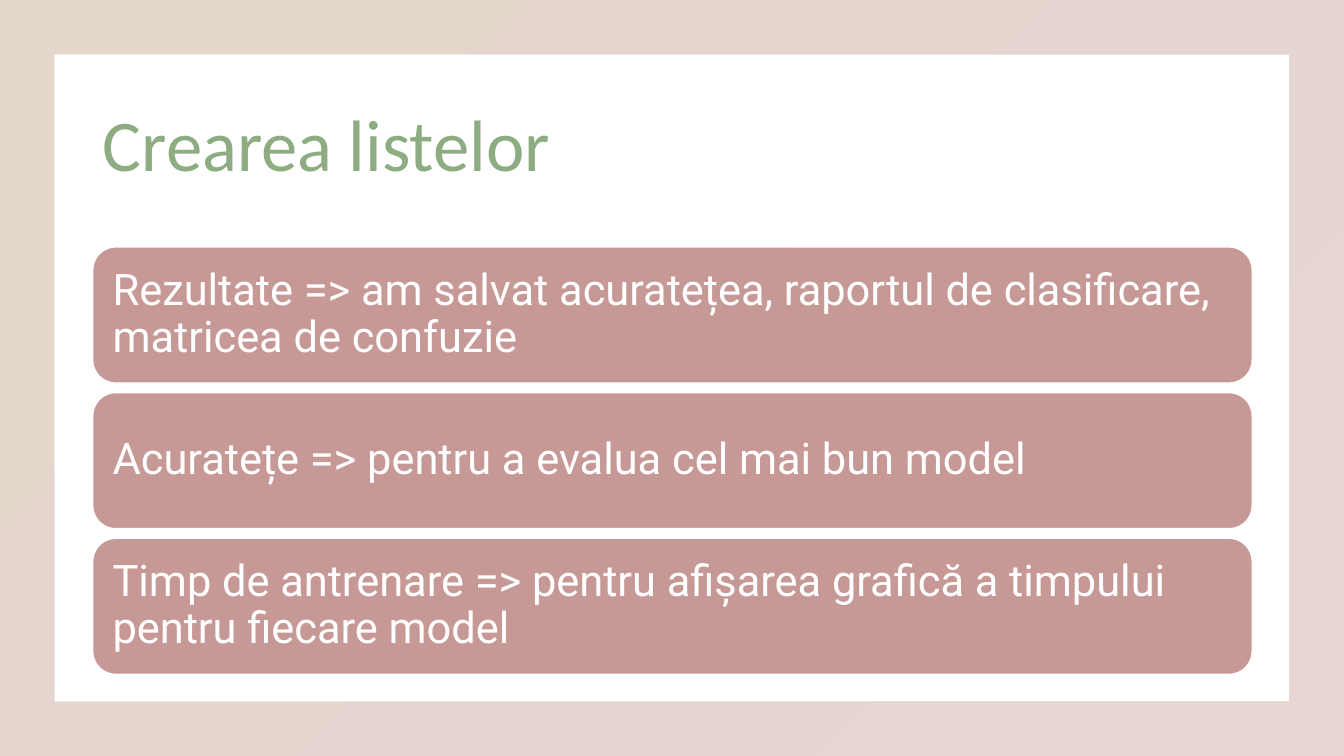
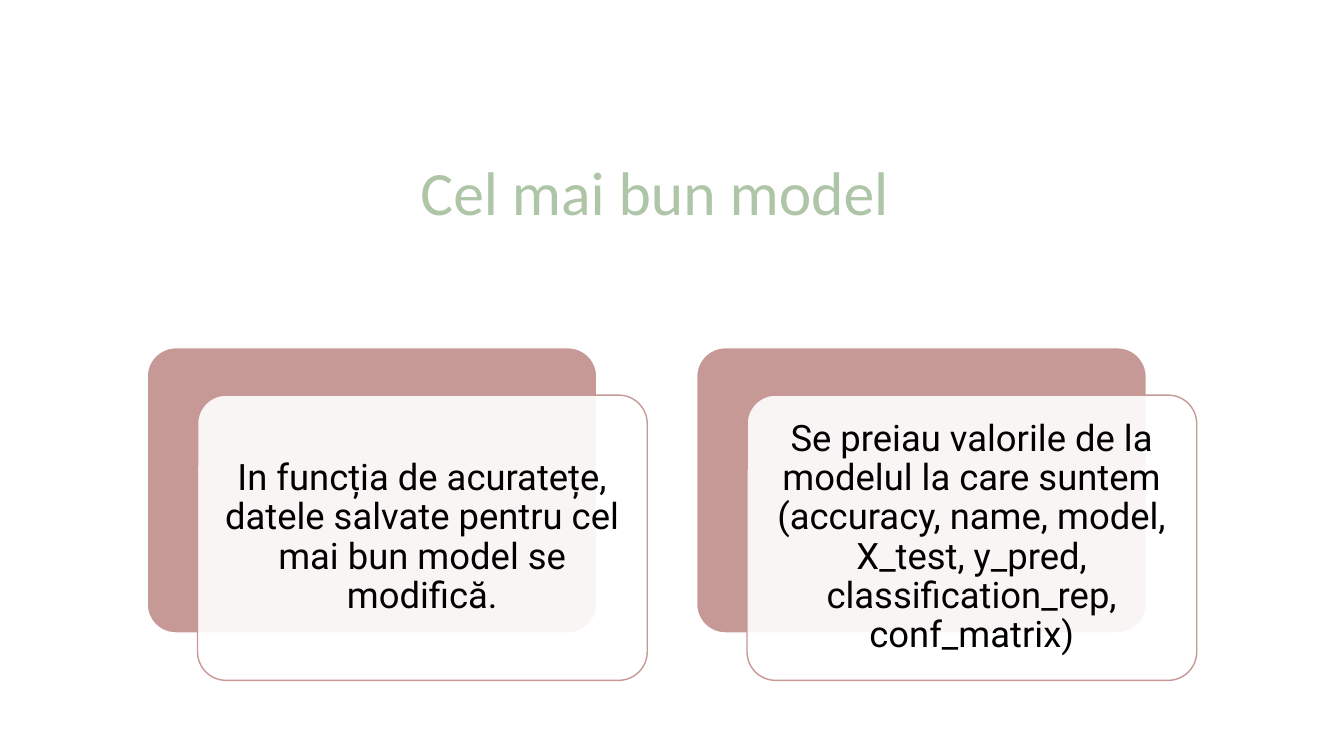
from dataclasses import dataclass

from lxml import etree
from pptx import Presentation
from pptx.dml.color import RGBColor
from pptx.enum import shapes, text
from pptx.oxml import ns
from pptx.util import Inches, Pt


@dataclass(frozen=True)
class Theme:
    rose: str = "C69996"
    white: str = "FFFFFF"
    black: str = "000000"
    green: str = "8DAC82"
    mint: str = "AFC5A8"
    sand: str = "E3D7CC"
    blush: str = "E8D6D5"
    head: str = "Calibri"
    body: str = "Roboto"
    big: int = 52
    mid: int = 44
    item: int = 31
    note: int = 26
    lead: float = 0.9


T = Theme()
LEFT, WIDE = 0.92, 11.5
ROUND = shapes.MSO_SHAPE.ROUNDED_RECTANGLE


def rgb(tone):
    return RGBColor.from_string(tone)


def write(frame, words, size, tone, face, align):
    frame.text = words
    frame.word_wrap = True
    frame.auto_size = text.MSO_AUTO_SIZE.NONE
    frame.vertical_anchor = text.MSO_ANCHOR.MIDDLE
    for par in frame.paragraphs:
        par.alignment = align
        par.line_spacing = T.lead
        par.font.size = Pt(size)
        par.font.name = face
        par.font.color.rgb = rgb(tone)


def title(slide, words, top, high, size, tone, align):
    head = slide.shapes.title
    head.left, head.top = Inches(LEFT), Inches(top)
    head.width, head.height = Inches(WIDE), Inches(high)
    write(head.text_frame, words, size, tone, T.head, align)


def border(slide, deck):
    """Draw the gradient frame around the slide."""
    edge = slide.shapes.add_shape(
        shapes.MSO_SHAPE.FRAME, 0, 0, deck.slide_width, deck.slide_height)
    edge.adjustments[0] = 0.072
    edge.shadow.inherit = False
    edge.line.fill.background()
    edge.fill.gradient()
    edge.fill.gradient_angle = 315
    for stop, tone, place in zip(edge.fill.gradient_stops, (T.sand, T.blush), (0, 1)):
        stop.color.rgb = rgb(tone)
        stop.position = place


def box(slide, left, top, wide, high, fill, line, bend):
    shape = slide.shapes.add_shape(
        ROUND, Inches(left), Inches(top), Inches(wide), Inches(high))
    shape.adjustments[0] = bend
    shape.shadow.inherit = False
    shape.fill.solid()
    shape.fill.fore_color.rgb = rgb(fill)
    shape.line.color.rgb = rgb(line)
    shape.line.width = Pt(1)
    return shape


def pad(frame, gap):
    frame.margin_left = frame.margin_right = Inches(gap)
    frame.margin_top = frame.margin_bottom = Inches(gap)


def fade(shape, share):
    """Set the opacity of a solid fill, in percent."""
    tint = shape.fill._xPr.find(ns.qn("a:solidFill"))[0]
    etree.SubElement(tint, ns.qn("a:alpha")).set("val", str(share * 1000))


def bar(slide, top, words):
    shape = box(slide, LEFT, top, WIDE, 1.35, T.rose, T.white, 0.17)
    pad(shape.text_frame, 0.13)
    write(shape.text_frame, words, T.item, T.white, T.body, text.PP_ALIGN.LEFT)


def card(slide, left, words):
    """Draw a pale card set off from the rose block behind it."""
    top, wide, high = 3.45, 4.46, 2.83
    box(slide, left, top, wide, high, T.rose, T.white, 0.1)
    front = box(slide, left + 0.5, top + 0.47, wide, high, T.white, T.rose, 0.1)
    fade(front, 90)
    pad(front.text_frame, 0.11)
    write(front.text_frame, words, T.note, T.black, T.body, text.PP_ALIGN.CENTER)


def lists(deck, plan):
    slide = deck.slides.add_slide(plan)
    border(slide, deck)
    title(slide, "Crearea listelor", 0.74, 1.45, T.big, T.green, text.PP_ALIGN.LEFT)
    items = (
        "Rezultate => am salvat acuratețea, raportul de clasificare, matricea de confuzie",
        "Acuratețe => pentru a evalua cel mai bun model",
        "Timp de antrenare => pentru afișarea grafică a timpului pentru fiecare model",
    )
    for row, words in enumerate(items):
        bar(slide, 2.45 + row * 1.445, words)


def best(deck, plan):
    slide = deck.slides.add_slide(plan)
    title(slide, "Cel mai bun model\t", 0.67, 2.54, T.mid, T.mint, text.PP_ALIGN.CENTER)
    notes = (
        "In funcția de acuratețe, datele salvate pentru cel mai bun model se modifică.",
        "Se preiau valorile de la modelul la care suntem (accuracy, name, model, "
        "X_test, y_pred, classification_rep, conf_matrix)",
    )
    for col, words in enumerate(notes):
        card(slide, 1.46 + col * 5.45, words)


def main():
    deck = Presentation()
    deck.slide_width, deck.slide_height = Inches(13.33), Inches(7.5)
    plan = deck.slide_layouts.get_by_name("Title Only")
    lists(deck, plan)
    best(deck, plan)
    deck.save("out.pptx")


if __name__ == "__main__":
    main()
